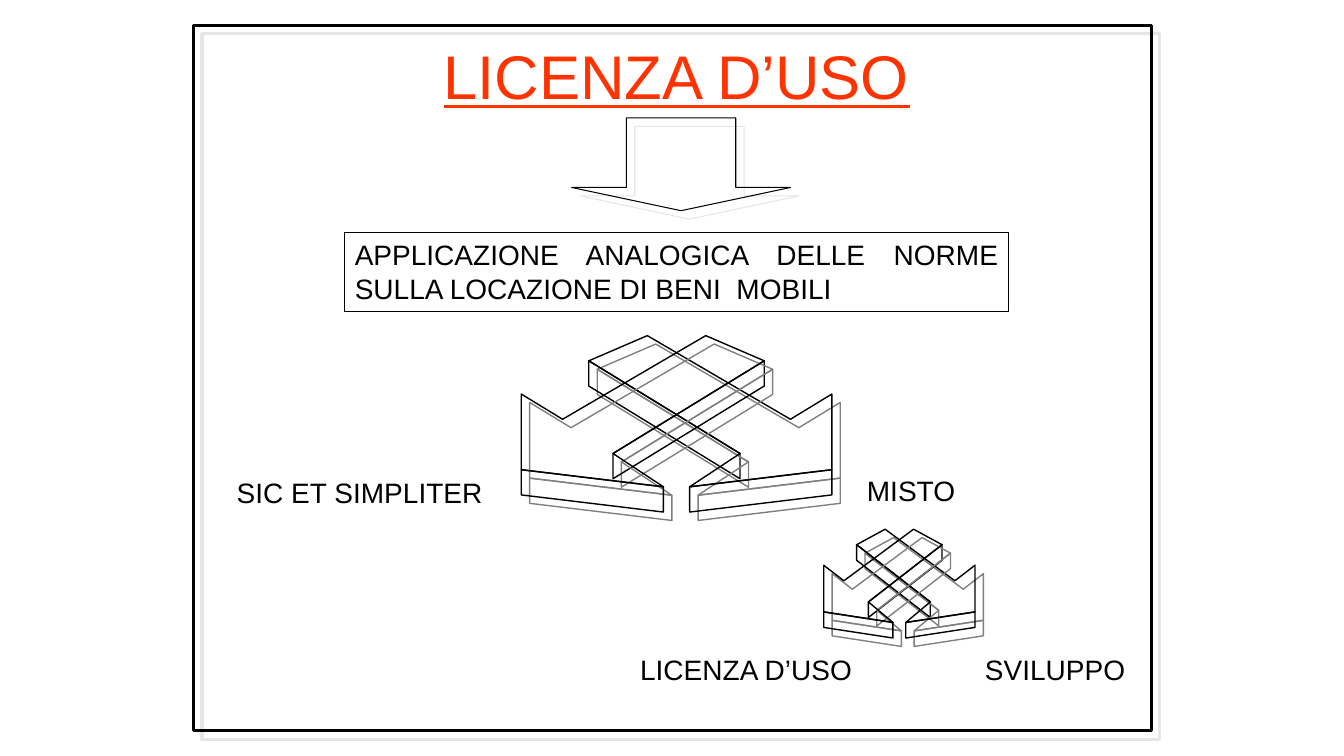
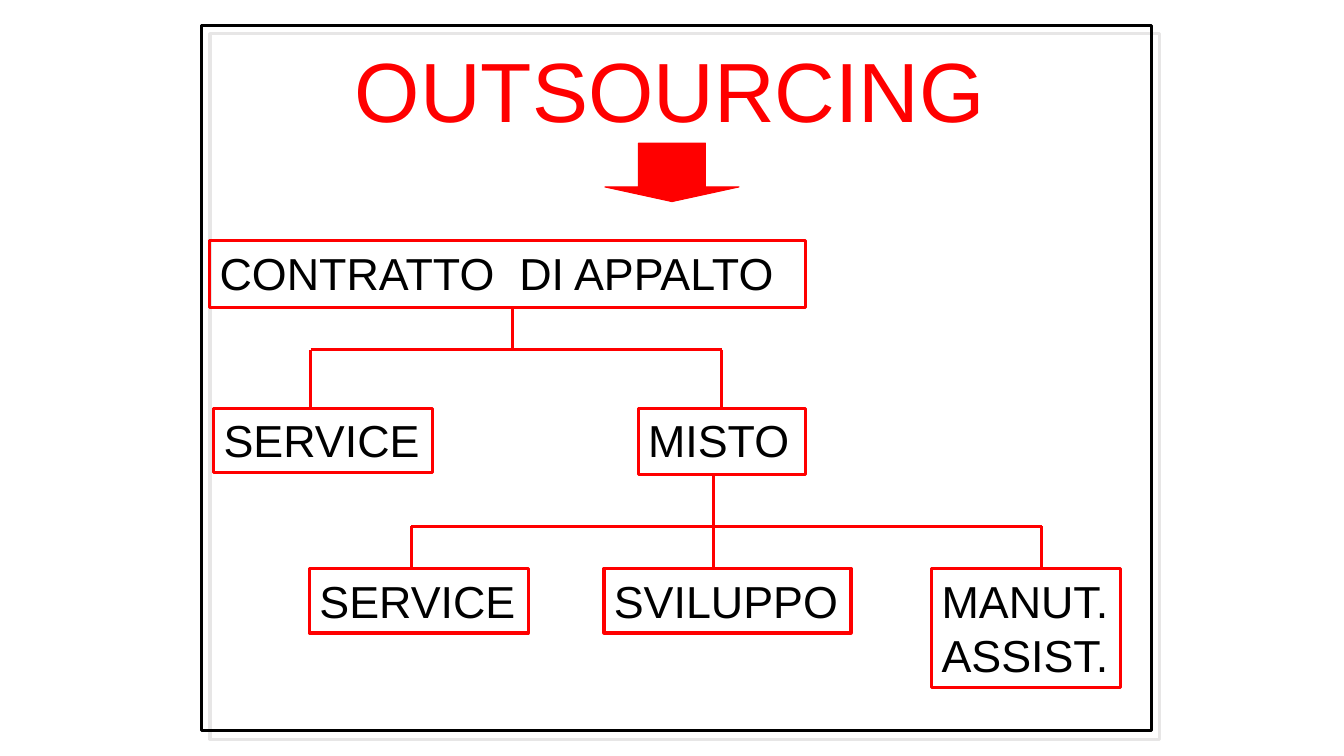
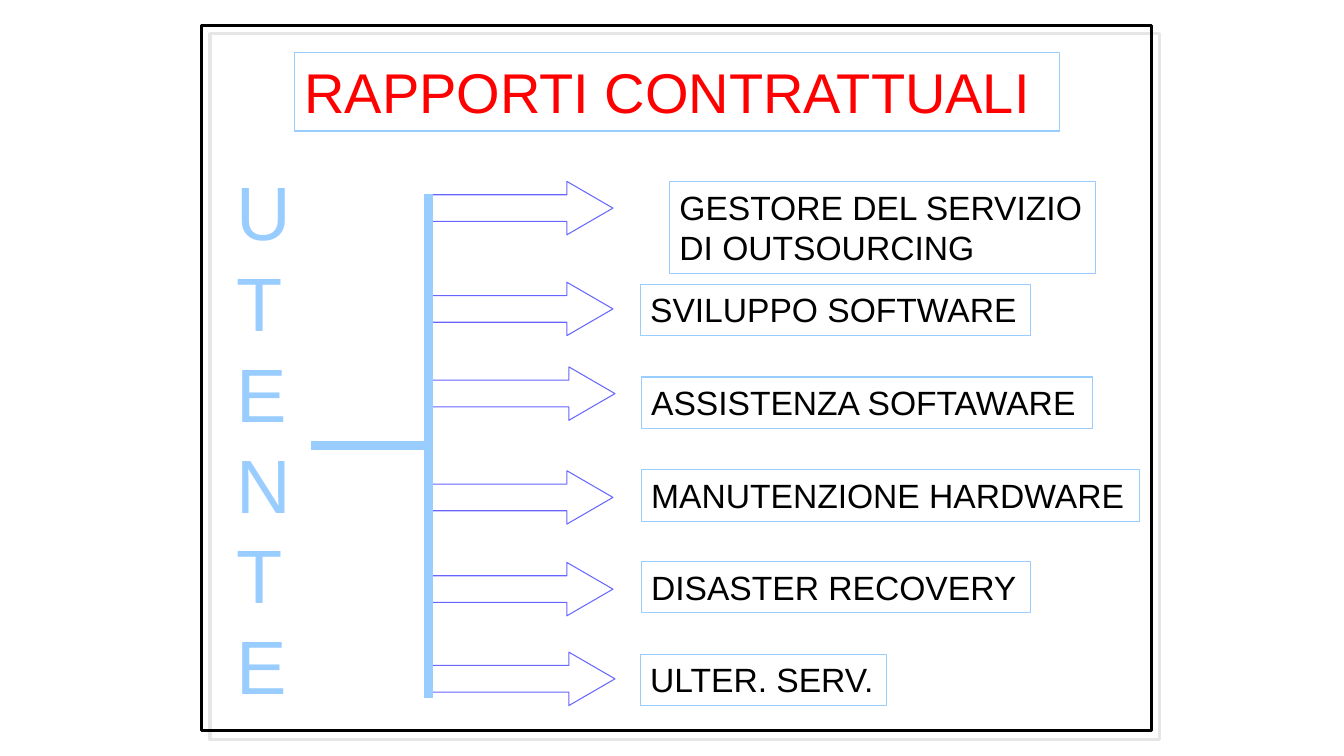
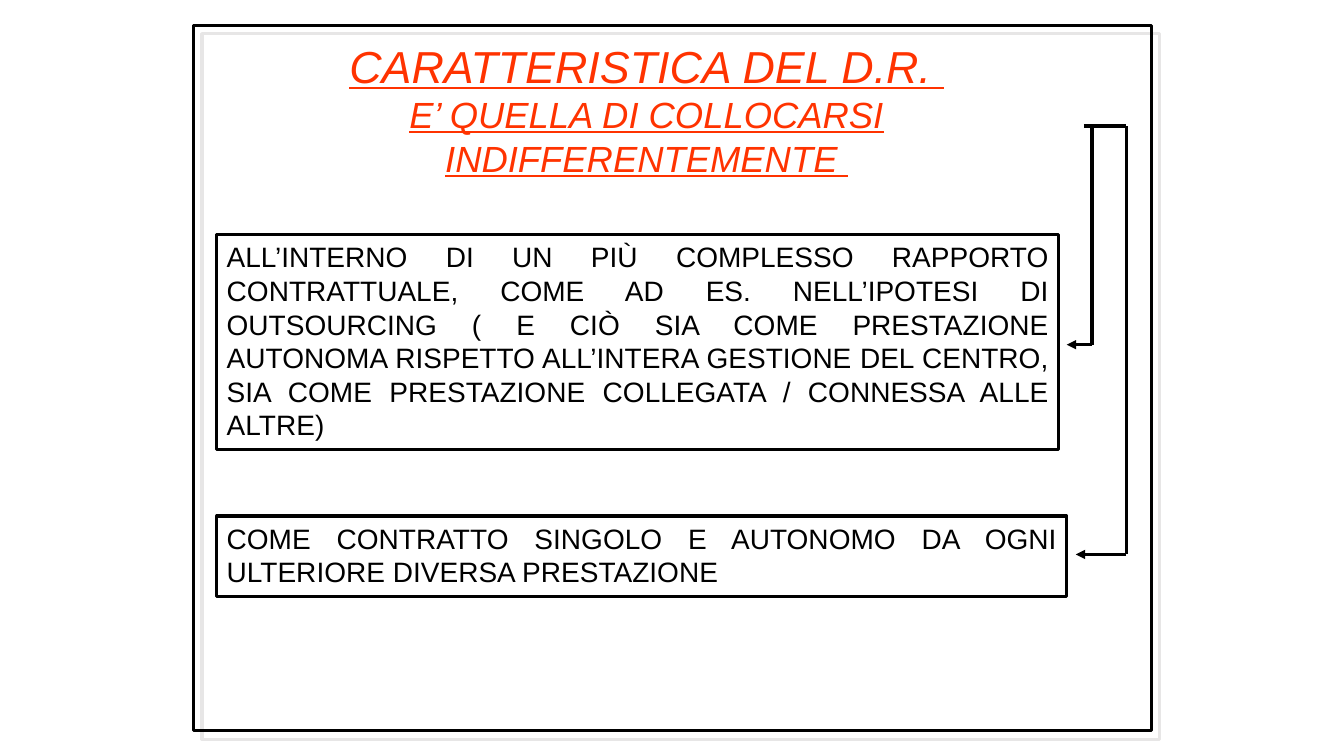
import pptx
import pptx.util
import pptx.dml.color
import pptx.enum.shapes
import pptx.enum.text
import pptx.oxml.ns
from lxml import etree

PX = 9144  # one px is a hundredth of an inch
FONT = "Arial"
BLACK, RED, ORANGE, SKY, VIOLET = "000000", "FF0000", "FF3300", "99CCFF", "6666FF"
PALE, GREY = "E7E6E6", "808080"
LEFT, CENTER, JUSTIFY = (pptx.enum.text.PP_ALIGN.LEFT, pptx.enum.text.PP_ALIGN.CENTER,
                         pptx.enum.text.PP_ALIGN.JUSTIFY)
SHAPE = pptx.enum.shapes.MSO_SHAPE

# Content: licence slide
NORMS = "APPLICAZIONE ANALOGICA DELLE NORME SULLA LOCAZIONE DI BENI  MOBILI"
LABELS = [
    ("SIC ET SIMPLITER", (225, 467, 266, 44)),
    ("LICENZA D’USO", (625, 642, 232, 44)),
    ("SVILUPPO", (967, 642, 161, 44)),
    ("MISTO", (850, 465, 110, 43)),
]
CROSSES = [(517, 333, 308, 175), (817, 525, 150, 108)]
CROSS_SIZE = (308, 175)
CROSS_HALF = [  # strip, head and base of the arrow that points right
    [(67, 25), (217, 117), (217, 142), (67, 50)],
    [(67, 25), (125, 0), (267, 83), (308, 58), (308, 133), (167, 150), (217, 117)],
    [(167, 150), (308, 133), (308, 158), (167, 175)],
]

# Content: outsourcing tree
TREE_BOXES = [
    ("CONTRATTO  DI APPALTO", (208, 239, 591, 66)),
    ("SERVICE", (212, 405, 217, 64)),
    ("MISTO", (633, 405, 166, 66)),
    ("SERVICE", (307, 564, 217, 64)),
    ("SVILUPPO", (599, 564, 245, 64)),
    ("MANUT.\nASSIST.", (924, 564, 187, 118)),
]
# trunk x, trunk top, bar y, bottom of drops, drops as (x, index of box joined at its middle)
BRANCHES = [
    (508, 305, 347, 405, [(308, None), (716, 2)]),
    (708, 471, 522, 564, [(408, None), (708, None), (1033, None)]),
]

# Content: contract relations, with the top of each arrow
SERVICES = [
    ("GESTORE DEL SERVIZIO\nDI OUTSOURCING", (664, 180, 423, 91), (425, 180)),
    ("SVILUPPO SOFTWARE", (635, 282, 387, 51), (425, 280)),
    ("ASSISTENZA SOFTAWARE", (636, 374, 448, 51), (427, 364)),
    ("MANUTENZIONE HARDWARE", (636, 466, 494, 51), (425, 467)),
    ("DISASTER RECOVERY", (636, 557, 386, 51), (425, 558)),
    ("ULTER. SERV.", (635, 649, 244, 51), (427, 647)),
]

# Content: disaster recovery
CASES = [
    ("ALL’INTERNO DI UN PIÙ COMPLESSO RAPPORTO CONTRATTUALE, COME AD ES. NELL’IPOTESI DI "
     "OUTSOURCING ( E CIÒ SIA COME PRESTAZIONE AUTONOMA RISPETTO ALL’INTERA GESTIONE DEL "
     "CENTRO, SIA COME PRESTAZIONE COLLEGATA / CONNESSA ALLE ALTRE)", (215, 233, 835, 213)),
    ("COME CONTRATTO SINGOLO E AUTONOMO DA OGNI ULTERIORE DIVERSA PRESTAZIONE",
     (215, 512, 843, 80)),
]
CASE_ARROWS = [(1083, 342, 1058), (1117, 550, 1067)]  # x, y of the turn, x of the tip


def emu(*values):
    return [round(v * PX) for v in values]


def rgb(color):
    return pptx.dml.color.RGBColor.from_string(color)


def child(parent, tag, **attrs):
    return etree.SubElement(parent, pptx.oxml.ns.qn(tag), attrs)


def style(sp, line=None, width=0.75, fill=None, shadow=None):
    sp.shadow.inherit = False
    if fill:
        sp.fill.solid()
        sp.fill.fore_color.rgb = rgb(fill)
    else:
        sp.fill.background()
    if line:
        sp.line.color.rgb = rgb(line)
        sp.line.width = pptx.util.Pt(width)
    else:
        sp.line.fill.background()
    if shadow:
        effects = sp._element.spPr.find(pptx.oxml.ns.qn("a:effectLst"))
        outer = child(effects, "a:outerShdw", dist="107950", dir="2700000",
                      algn="ctr", rotWithShape="0")
        child(outer, "a:srgbClr", val=shadow)


def write(sp, text, sizes, color, align=LEFT, underline=None, italic=None):
    tf = sp.text_frame
    tf.text = text
    tf.word_wrap = True
    tf.auto_size = pptx.enum.text.MSO_AUTO_SIZE.NONE
    tf.vertical_anchor = pptx.enum.text.MSO_ANCHOR.TOP
    for i, p in enumerate(tf.paragraphs):
        p.alignment = align
        for r in p.runs:
            r.font.name, r.font.size = FONT, pptx.util.Pt(sizes[min(i, len(sizes) - 1)])
            r.font.color.rgb = rgb(color)
            r.font.underline, r.font.italic = underline, italic


def add_shape(s, kind, box, adjust=(), **look):
    sp = s.shapes.add_shape(kind, *emu(*box))
    for i, value in enumerate(adjust):
        sp.adjustments[i] = value
    style(sp, **look)
    return sp


def add_box(s, text, box, size, align=LEFT, **look):
    sp = add_shape(s, SHAPE.RECTANGLE, box, **look)
    write(sp, text, [size], BLACK, align)
    return sp


def add_label(s, text, box, size, color):
    write(s.shapes.add_textbox(*emu(*box)), text, [size], color)


def add_line(s, x1, y1, x2, y2, color, width=2.25, arrow=False, join=None):
    c = s.shapes.add_connector(pptx.enum.shapes.MSO_CONNECTOR.STRAIGHT, *emu(x1, y1, x2, y2))
    c.line.color.rgb = rgb(color)
    c.line.width = pptx.util.Pt(width)
    if arrow:
        child(c.line._get_or_add_ln(), "a:tailEnd", type="triangle")
    child(c._element.spPr, "a:effectLst")
    if join:
        c.end_connect(join, 0)


def add_cross(s, left, top, width, height):
    """Two crossing arrows; the second mirrors the first."""
    full_w, full_h = CROSS_SIZE
    for mirrored in (False, True):
        for outline in CROSS_HALF:
            points = [emu(left + (full_w - x if mirrored else x) * width / full_w,
                          top + y * height / full_h) for x, y in outline]
            builder = s.shapes.build_freeform(*points[0])
            builder.add_line_segments(points[1:], close=True)
            style(builder.convert_to_shape(), BLACK, 1, shadow=GREY)


def add_slide(prs, frame_left, title, box, sizes, color, line=None, **text_look):
    """Slide with the shadowed frame and its title."""
    s = prs.slides.add_slide(prs.slide_layouts[5])
    sp = s.shapes.title
    sp.left, sp.top, sp.width, sp.height = emu(*box)
    if line:
        sp.line.color.rgb = rgb(line)
        sp.line.width = pptx.util.Pt(0.75)
    write(sp, title, sizes, color, **text_look)
    add_shape(s, SHAPE.RECTANGLE, (frame_left, 25, 1142 - frame_left, 700),
              line=BLACK, width=2.25, shadow=PALE)
    return s


def licence_slide(prs):
    s = add_slide(prs, 192, "LICENZA D’USO", (200, 33, 942, 83), [44], ORANGE,
                  align=CENTER, underline=True)
    add_box(s, NORMS, (342, 231, 658, 78), 20, JUSTIFY, line=BLACK)
    for text, box in LABELS:
        add_label(s, text, box, 20, BLACK)
    add_shape(s, SHAPE.DOWN_ARROW, (567, 117, 217, 92), (0.5, 0.25), line=BLACK, shadow=PALE)
    for cross in CROSSES:
        add_cross(s, *cross)


def outsourcing_slide(prs):
    s = add_slide(prs, 200, "OUTSOURCING", (342, 33, 651, 111), [60], RED)
    boxes = [add_box(s, text, box, 32, line=RED, width=2.25) for text, box in TREE_BOXES]
    for trunk, top, bar, bottom, drops in BRANCHES:
        add_line(s, trunk, top, trunk, bar, RED)
        add_line(s, drops[0][0], bar, drops[-1][0], bar, RED)
        for x, joined in drops:
            add_line(s, x, bar, x, bottom, RED, join=None if joined is None else boxes[joined])
    add_shape(s, SHAPE.DOWN_ARROW, (600, 142, 133, 58), (0.5, 0.25), line=RED, fill=RED)


def relations_slide(prs):
    s = add_slide(prs, 200, "RAPPORTI CONTRATTUALI", (292, 52, 759, 78), [40], RED, line=SKY)
    add_label(s, "\n".join("UTENTE"), (225, 159, 75, 555), 54, SKY)
    add_line(s, 308, 442, 425, 442, SKY, 6)
    for text, box, arrow in SERVICES:
        add_box(s, text, box, 24, line=SKY)
        add_shape(s, SHAPE.RIGHT_ARROW, (*arrow, 183, 53), (0.5, 0.863), line=VIOLET)
    add_line(s, 425, 192, 425, 692, SKY, 6)


def recovery_slide(prs):
    title = "CARATTERISTICA DEL D.R. \nE’ QUELLA DI COLLOCARSI INDIFFERENTEMENTE "
    s = add_slide(prs, 192, title, (200, 33, 883, 153), [32, 26], ORANGE,
                  align=CENTER, underline=True, italic=True)
    for text, box in CASES:
        add_box(s, text, box, 20, JUSTIFY, line=BLACK, width=2.25)
    add_line(s, 1075, 125, 1117, 125, BLACK)
    for x, y, tip in CASE_ARROWS:
        add_line(s, x, 125, x, y, BLACK)
        add_line(s, x, y, tip, y, BLACK, arrow=True)


def main():
    prs = pptx.Presentation()
    prs.slide_width, prs.slide_height = emu(1333, 750)
    for build in (licence_slide, outsourcing_slide, relations_slide, recovery_slide):
        build(prs)
    prs.save("out.pptx")


if __name__ == "__main__":
    main()
